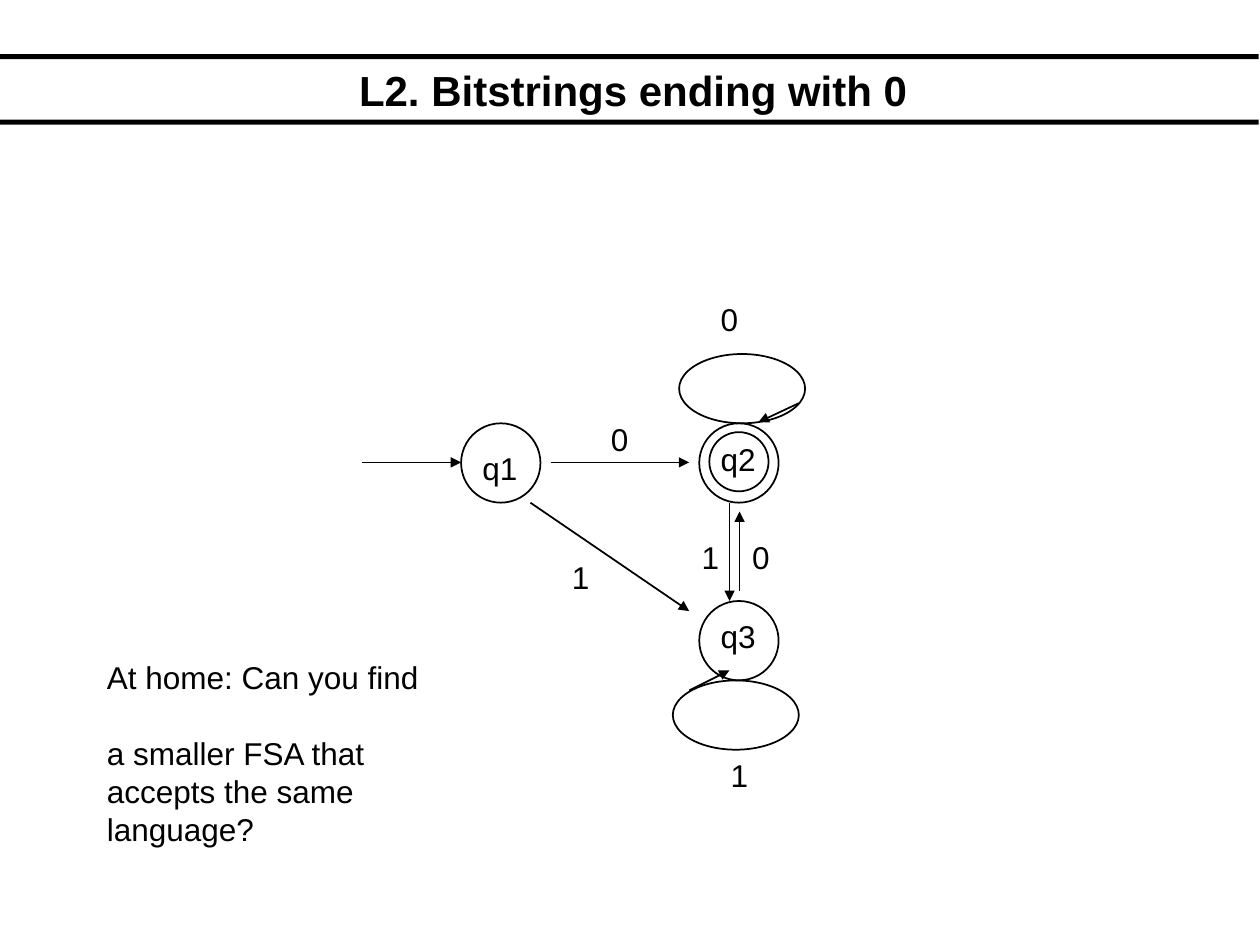
"""Build a slide with the state diagram for bitstrings ending with 0."""
from lxml import etree
from pptx import Presentation, util as u
from pptx.dml.color import RGBColor
from pptx.enum import shapes, text
from pptx.oxml import ns

BLACK = RGBColor(0, 0, 0)
SPACE = 0.07


def write(tf, *lines, size=18, bold=False, align=text.PP_ALIGN.LEFT,
          anchor=text.MSO_ANCHOR.TOP, wrap=False, leading=21.7, gap=0):
    tf.word_wrap = wrap
    tf.vertical_anchor = anchor
    for i, line in enumerate(lines):
        p = tf.add_paragraph() if i else tf.paragraphs[0]
        p.alignment = align
        p.line_spacing = u.Pt(leading) if leading else 1.0
        p.space_before = u.Pt(gap if i else 0)
        r = p.add_run()
        r.text = line
        r.font.name = "Arial"
        r.font.size = u.Pt(size)
        r.font.bold = bold
        r.font.color.rgb = BLACK


class Diagram:
    def __init__(self, s, color=BLACK, weight=1):
        self.s = s
        self.color = color
        self.weight = u.Pt(weight)

    def shape(self, kind, x, y, w, h):
        sp = self.s.shapes.add_shape(kind, *map(u.Inches, (x, y, w, h)))
        sp.shadow.inherit = False
        return sp

    def bar(self, y):
        sp = self.shape(shapes.MSO_SHAPE.RECTANGLE, 0, y, 9.99, 0.04)
        sp.fill.solid()
        sp.fill.fore_color.rgb = self.color
        sp.line.fill.background()

    def ellipse(self, x, y, w, h):
        sp = self.shape(shapes.MSO_SHAPE.OVAL, x, y, w, h)
        sp.fill.background()
        sp.line.color.rgb = self.color
        sp.line.width = self.weight

    def arrow(self, x1, y1, x2, y2):
        sp = self.s.shapes.add_connector(
            shapes.MSO_CONNECTOR.STRAIGHT, *map(u.Inches, (x1, y1, x2, y2)))
        sp.line.color.rgb = self.color
        sp.line.width = self.weight
        etree.SubElement(sp.line._get_or_add_ln(), ns.qn("a:tailEnd"), type="triangle")
        etree.SubElement(sp._element.spPr, ns.qn("a:effectLst"))

    def label(self, x, y, w, h, *lines, **style):
        sp = self.s.shapes.add_textbox(*map(u.Inches, (x, y, w, h)))
        write(sp.text_frame, *lines, **style)


def main():
    prs = Presentation()
    prs.slide_width, prs.slide_height = u.Inches(10), u.Inches(7.5)
    s = prs.slides.add_slide(prs.slide_layouts[6])
    d = Diagram(s)

    for y in (0.95, 0.43):
        d.bar(y)
    d.label(1.58, 0.45, 6.89, 0.52, "L2. Bitstrings ending with 0", size=24, bold=True,
            align=text.PP_ALIGN.CENTER, anchor=text.MSO_ANCHOR.MIDDLE, wrap=True, leading=None)

    states = (("q1", 3.66, 3.36, 3.51), ("q2", 5.55, 3.36, 3.44), ("q3", 5.55, 4.77, 4.85))
    for name, x, y, text_y in states:
        d.ellipse(x, y, 0.63, 0.63)
        d.label(x + SPACE, text_y, 0.55, 0.4, name)
    d.ellipse(5.63, 3.43, 0.47, 0.47)

    for x, y in ((5.39, 2.81), (5.34, 5.4)):
        d.ellipse(x, y, 1, 0.55)

    for ends in ((2.87, 3.67, 3.66, 3.67), (4.37, 3.67, 5.47, 3.67),
                 (4.21, 3.99, 5.47, 4.85), (5.87, 4.69, 5.87, 4.06),
                 (5.79, 3.99, 5.79, 4.77), (6.34, 3.2, 6.02, 3.35),
                 (5.47, 5.48, 5.79, 5.32)):
        d.arrow(*ends)

    for bit, x, y in (("0", 4.68 + SPACE, 3.28), ("1", 4.37 + SPACE, 4.38),
                      ("0", 5.55 + SPACE, 2.33), ("1", 5.63 + SPACE, 5.95),
                      ("0", 5.87, 4.22), ("1", 5.47, 4.22)):
        d.label(x, y, 0.39, 0.4, bit)

    d.label(0.75, 5.17, 2.68, 1.6, "At home: Can you find",
            "a smaller FSA that accepts the same language?", wrap=True, gap=21.7)
    prs.save("out.pptx")


if __name__ == "__main__":
    main()
